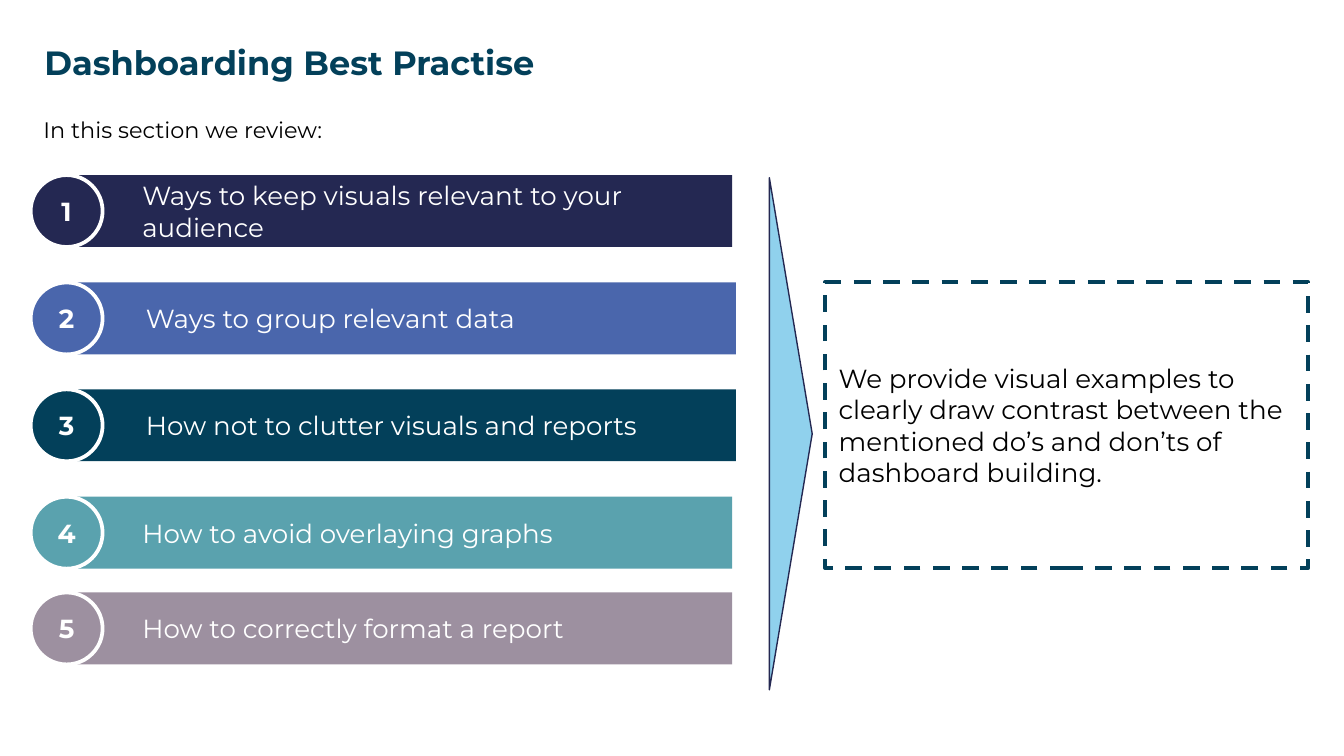
from pptx import Presentation
from pptx.dml.color import RGBColor
from pptx.enum.dml import MSO_LINE_DASH_STYLE as DASH
from pptx.enum.shapes import MSO_SHAPE as SHAPE
from pptx.enum.text import MSO_ANCHOR as ANCHOR, MSO_AUTO_SIZE as AUTO_SIZE, PP_ALIGN as ALIGN
from pptx.util import Cm, Pt

FONT = "Montserrat"
COLORS = {
    "navy": "242852",
    "blue": "4A66AC",
    "petrol": "03405A",
    "teal": "5AA2AE",
    "mauve": "9D90A0",
    "sky": "90D1ED",
    "white": "FFFFFF",
    "black": "000000",
}
TOPICS = [
    ("Ways to keep visuals relevant to your audience", "navy", 1.17, 3.31),
    ("Ways to group relevant data", "blue", 1.24, 5.34),
    ("How not to clutter visuals and reports", "petrol", 1.24, 7.36),
    ("How to avoid overlaying graphs", "teal", 1.17, 9.39),
    ("How to correctly format a report", "mauve", 1.17, 11.2),
]


def color(name):
    """Return the named palette colour."""
    return RGBColor.from_string(COLORS[name])


def write(shape, text, size, color_name, bold=False, align=ALIGN.LEFT,
          anchor=ANCHOR.MIDDLE, insets=(0.25, 0.25), indent=0):
    """Fill a shape with one formatted paragraph."""
    frame = shape.text_frame
    frame.word_wrap = True
    frame.auto_size = AUTO_SIZE.NONE
    frame.vertical_anchor = anchor
    frame.margin_left = frame.margin_right = Cm(insets[0])
    frame.margin_top = frame.margin_bottom = Cm(insets[1])
    paragraph = frame.paragraphs[0]
    paragraph.alignment = align
    if indent:
        paragraph._p.get_or_add_pPr().set("marL", str(Cm(indent)))
    run = paragraph.add_run()
    run.text = text
    run.font.name = FONT
    run.font.size = Pt(size)
    run.font.bold = bold
    run.font.color.rgb = color(color_name)


def add_box(shapes, kind, box, fill, line=None, width=0):
    """Add a flat preset shape in the given box."""
    shape = shapes.add_shape(kind, *(Cm(value) for value in box))
    shape.shadow.inherit = False
    shape.fill.solid()
    shape.fill.fore_color.rgb = color(fill)
    if line:
        shape.line.color.rgb = color(line)
        shape.line.width = Pt(width)
    else:
        shape.line.fill.background()
    return shape


def add_heading(slide, left, top, width, height):
    """Place the title and, below it, the introduction."""
    title = slide.shapes.title
    title.left, title.top, title.width, title.height = map(Cm, (left, top, width, height))
    write(title, "Dashboarding Best Practise", 18, "petrol", bold=True, insets=(0.2, 0.1))
    intro = slide.shapes.add_textbox(Cm(left), Cm(top + height), Cm(width), Cm(height))
    write(intro, "In this section we review:", 12, "black", anchor=ANCHOR.TOP,
          insets=(0.18, 0.18))


def add_topic(slide, number, text, fill, bar_left, left, top, right_width, height):
    """Group a topic bar with its numbered circle."""
    group = slide.shapes.add_group_shape()
    bar = add_box(group.shapes, SHAPE.RECTANGLE, (bar_left, top, right_width, height), fill)
    write(bar, text, 14, "white", indent=1.27)
    badge = add_box(group.shapes, SHAPE.OVAL, (left, top, height, height), fill, "white", 2)
    write(badge, str(number), 14, "white", bold=True, align=ALIGN.CENTER, insets=(0.18, 0.1))


def add_pointer(slide, left, top, width, height):
    """Fit a triangle pointing right into an upright box."""
    unrotated = (left + (width - height) / 2, top + (height - width) / 2, height, width)
    triangle = add_box(slide.shapes, SHAPE.ISOSCELES_TRIANGLE, unrotated, "sky", "navy", 0.75)
    triangle.rotation = 90


def add_summary(slide, left, top, width, height):
    """Place the dashed summary box."""
    summary = add_box(slide.shapes, SHAPE.RECTANGLE, (left, top, width, height),
                      "white", "petrol", 2.25)
    summary.line.dash_style = DASH.DASH
    write(summary, "We provide visual examples to clearly draw contrast between the "
          "mentioned do’s and don’ts of dashboard building.", 14, "black")


def main():
    """Build and save the slide."""
    presentation = Presentation()
    presentation.slide_width = Cm(25.4)
    presentation.slide_height = Cm(14.29)
    slide = presentation.slides.add_slide(presentation.slide_layouts[5])
    add_heading(slide, 0.64, 0.33, 24.1, 1.69)
    for number, (text, fill, bar_left, top) in enumerate(TOPICS, start=1):
        add_topic(slide, number, text, fill, bar_left, 0.58, top, 12.67, 1.36)
    add_pointer(slide, 14.54, 3.36, 0.81, 9.68)
    add_summary(slide, 15.6, 5.33, 9.12, 5.41)
    presentation.save("out.pptx")


if __name__ == "__main__":
    main()
